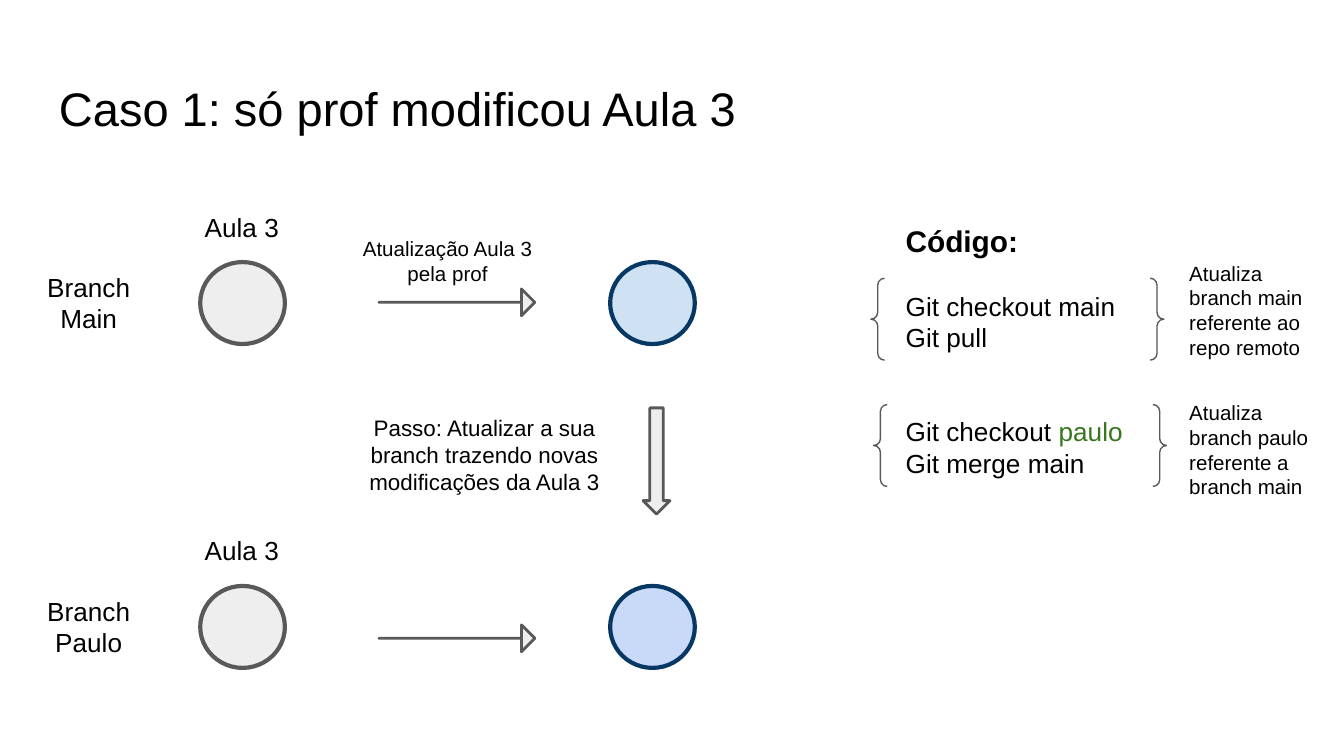
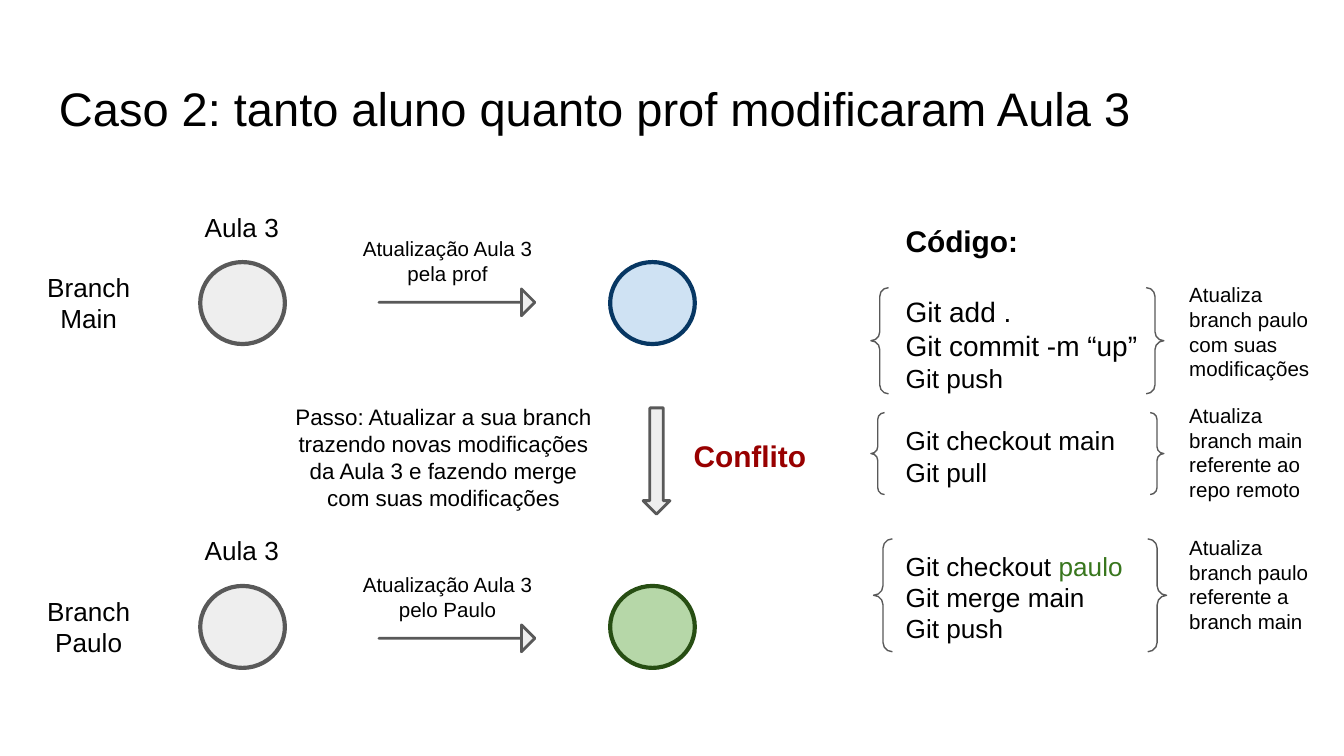
from dataclasses import dataclass

from pptx import Presentation
from pptx import util as u
from pptx.dml.color import RGBColor
from pptx.enum import shapes, text

KIND = shapes.MSO_SHAPE
LEFT, MID = text.PP_ALIGN.LEFT, text.PP_ALIGN.CENTER
WIDTH = u.Inches(10)


@dataclass(frozen=True)
class Theme:
    font: str = "Arial"
    ink: str = "000000"
    grey: str = "EEEEEE"
    edge: str = "595959"
    navy: str = "073763"
    sky: str = "CFE2F3"
    lilac: str = "C9DAF8"
    leaf: str = "B6D7A8"
    forest: str = "274E13"
    name: str = "38761D"
    alert: str = "980000"
    title: float = 25.2
    head: int = 16
    large: int = 15
    body: int = 14
    step: int = 12
    note: int = 11
    pitch: float = 1.2  # line height as a multiple of the type size


T = Theme()


def assign(item, values):
    for key, value in values.items():
        setattr(item, key, value)


def place(x, y, w, h):
    return [u.Inches(n) for n in (x, y, w, h)]


# ---- Elements ----
def para(par, runs, size, align=LEFT, bold=False, gap=0):
    """Fill a paragraph with (words, colour) runs; gap is space before in points."""
    assign(par, {"alignment": align, "line_spacing": u.Pt(size * T.pitch),
                 "space_before": u.Pt(gap)})
    for words, color in runs:
        run = par.add_run()
        run.text = words
        assign(run.font, {"name": T.font, "size": u.Pt(size), "bold": bold})
        run.font.color.rgb = RGBColor.from_string(color)


def frame(slide, box, grow=True):
    area = slide.shapes.add_textbox(*place(*box)).text_frame
    fit = text.MSO_AUTO_SIZE
    pad = u.Inches(0.1)
    assign(area, {"word_wrap": True,
                  "auto_size": fit.SHAPE_TO_FIT_TEXT if grow else fit.NONE,
                  "margin_left": pad, "margin_right": pad,
                  "margin_top": pad, "margin_bottom": pad})
    return area


def label(slide, box, words, size, align=MID, color=T.ink, bold=False, grow=True):
    area = frame(slide, box, grow)
    para(area.paragraphs[0], [(words, color)], size, align, bold)


def shape(slide, kind, box, fill=None, line=T.edge, width=1.5, turn=0, adjust=()):
    item = slide.shapes.add_shape(kind, *place(*box))
    item.shadow.inherit = False
    item.rotation = turn
    if fill:
        item.fill.solid()
        item.fill.fore_color.rgb = RGBColor.from_string(fill)
    else:
        item.fill.background()
    item.line.color.rgb = RGBColor.from_string(line)
    item.line.width = u.Pt(width)
    for i, value in enumerate(adjust):
        item.adjustments[i] = value


# ---- Diagram parts ----
def lane(slide, top, branch, arrow, fill, line, note=None):
    """One branch: first commit, arrow and resulting commit."""
    for x, inner, rim in ((1.49, T.grey, T.edge), (4.54, fill, line)):
        shape(slide, KIND.OVAL, (x, top, 0.63, 0.61), inner, rim, 2.25)
    label(slide, (0.14, top - 0.03, 1.04, 0.67), branch, T.body)
    label(slide, (1.4, top - 0.48, 0.8, 0.44), "Aula 3", T.body)
    shape(slide, KIND.RIGHT_ARROW, (2.82, arrow, 1.16, 0.2), T.grey,
          adjust=(0, 0.5))
    if note:
        label(slide, (2.49, arrow - 0.49, 1.68, 0.57), note, T.note)


def code(slide, box, lines):
    """Heading and commands; each line is (runs, size, gap)."""
    area = frame(slide, box)
    para(area.paragraphs[0], [("Código:", T.ink)], T.head, bold=True)
    for runs, size, gap in lines:
        para(area.add_paragraph(), runs, size, gap=gap * T.pitch)


def brace(slide, x, y, h, top, note):
    shape(slide, KIND.DOUBLE_BRACE, (x, y, 2.18, h), width=0.75)
    label(slide, (8.75, top, 1.21, 0.94), note, T.note, LEFT)


def line(words, size=T.body, gap=0):
    return [(words, T.ink)], size, gap


def base(deck, title, step, box, result, note=None):
    """Title, both lanes and the step between them."""
    slide = deck.slides.add_slide(deck.slide_layouts[6])
    label(slide, (0.34, 0.49, 9.32, 0.63), title, T.title, LEFT, grow=False)
    lane(slide, 1.95, "Branch Main", 2.15, T.sky, T.navy,
         "Atualização Aula 3 pela prof")
    lane(slide, 4.36, "Branch Paulo", 4.65, *result, note)
    shape(slide, KIND.RIGHT_ARROW, (4.49, 3.33, 0.79, 0.2), T.grey, turn=90)
    label(slide, box, step, T.step)
    return slide


# ---- Commands and notes on both slides ----
PULL = [line("Git checkout main", gap=T.body), line("Git pull")]
MERGE = [([("Git checkout ", T.ink), ("paulo", T.name)], T.body, 2 * T.body),
         line("Git merge main")]
REMOTE = "Atualiza branch main referente ao repo remoto"
LOCAL = "Atualiza branch paulo referente a branch main"


def first(deck):
    slide = base(deck, "Caso 1: só prof modificou Aula 3",
                 "Passo: Atualizar a sua branch trazendo novas modificações da Aula 3",
                 (2.45, 2.98, 2.31, 0.81), (T.lilac, T.navy))
    code(slide, (6.64, 1.56, 2.11, 2.12), PULL + MERGE)
    brace(slide, 6.48, 2.07, 0.61, 1.84, REMOTE)
    brace(slide, 6.5, 3.01, 0.61, 2.88, LOCAL)


def second(deck):
    slide = base(deck, "Caso 2: tanto aluno quanto prof modificaram Aula 3",
                 "Passo: Atualizar a sua branch trazendo novas modificações "
                 "da Aula 3 e fazendo merge com suas modificações",
                 (2.09, 2.9, 2.42, 1.01), (T.leaf, T.forest),
                 "Atualização Aula 3 pelo Paulo")
    label(slide, (5.06, 3.16, 1.04, 0.47), "Conflito", T.head,
          color=T.alert, bold=True)
    save = [line("Git add .", T.large, T.head),
            line("Git commit -m “up”", T.large), line("Git push")]
    code(slide, (6.64, 1.56, 2.42, 3.37), save + PULL + MERGE + [line("Git push")])
    brace(slide, 6.48, 2.14, 0.79, 2, "Atualiza branch paulo com suas modificações")
    brace(slide, 6.48, 3.07, 0.61, 2.9, REMOTE)
    brace(slide, 6.5, 4.01, 0.84, 3.88, LOCAL)


def main():
    deck = Presentation()
    assign(deck, {"slide_width": WIDTH, "slide_height": WIDTH * 9 // 16})
    first(deck)
    second(deck)
    deck.save("out.pptx")


main()
